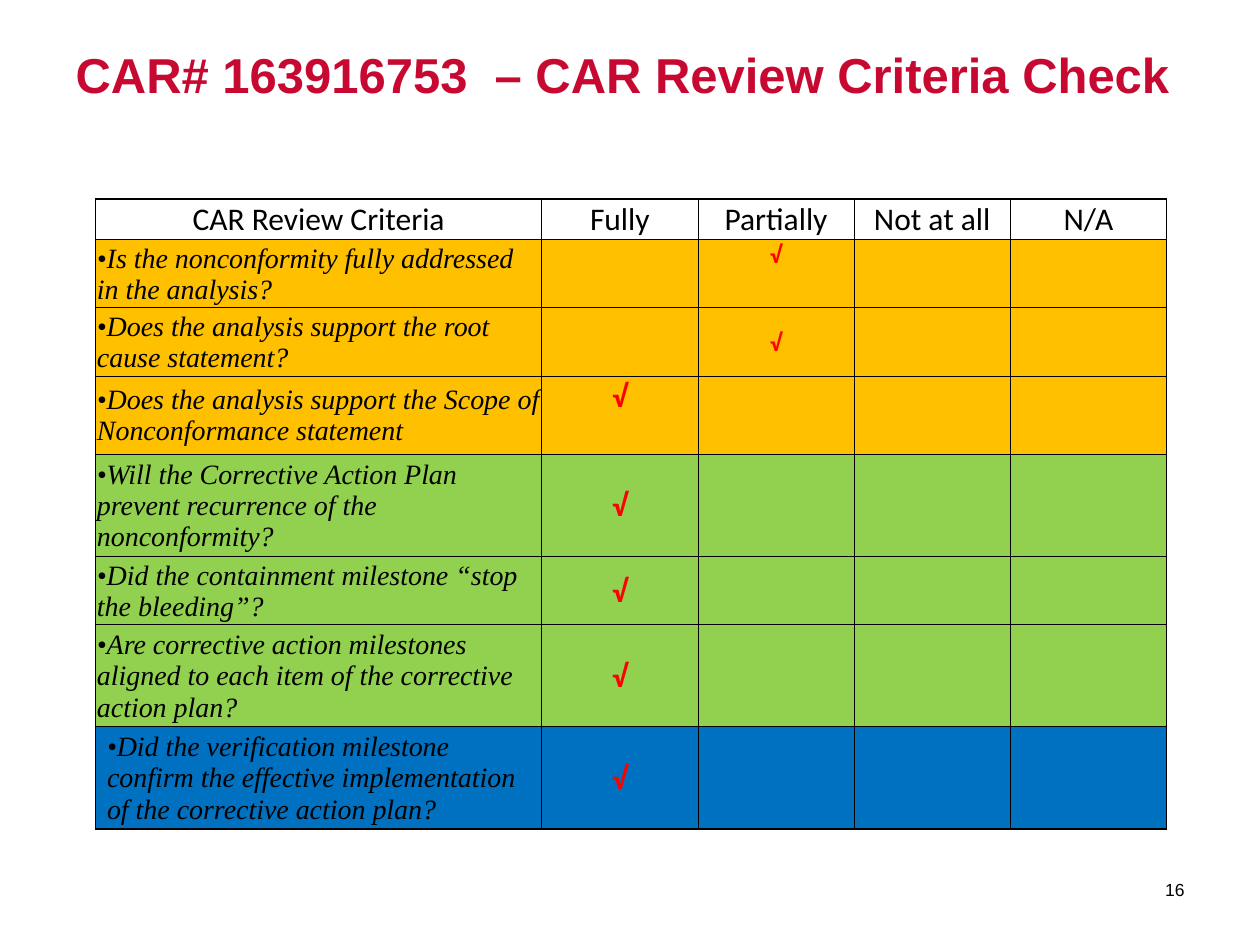
from dataclasses import dataclass

from lxml.etree import SubElement
from pptx import Presentation
from pptx.dml.color import RGBColor
from pptx.enum.text import MSO_ANCHOR, PP_ALIGN
from pptx.oxml.ns import qn
from pptx.util import Inches, Pt


@dataclass(frozen=True)
class Theme:
    crimson: str = "C70932"
    black: str = "000000"
    red: str = "FF0000"
    amber: str = "FFC000"
    green: str = "92D050"
    blue: str = "0070C0"
    title_size: int = 28
    heading_size: int = 18
    criterion_size: int = 16
    small_check_size: int = 14
    number_size: int = 10
    title_font: str = "Arial"
    table_font: str = "Calibri"
    criterion_font: str = "Times New Roman"
    outer_line: float = 1
    inner_line: float = 0.5


THEME = Theme()
FULLY, PARTIALLY = 1, 2
HEADINGS = ["CAR Review Criteria", "Fully", "Partially", "Not at all", "N/A"]
COLUMN_WIDTHS = [3.54] + [1.24] * 4
HEADING_HEIGHT = 0.32


@dataclass(frozen=True)
class Criterion:
    question: str
    fill: str
    height: float
    rating: int = FULLY
    check_size: int = THEME.heading_size
    check_anchor: MSO_ANCHOR = MSO_ANCHOR.MIDDLE
    indent: float = 0.01


CRITERIA = [
    Criterion("Is the nonconformity fully addressed in the analysis?", THEME.amber, 0.5,
              PARTIALLY, THEME.small_check_size, MSO_ANCHOR.TOP),
    Criterion("Does the analysis support the root cause statement?", THEME.amber, 0.51,
              PARTIALLY, THEME.small_check_size),
    Criterion("Does the analysis support the Scope of Nonconformance statement",
              THEME.amber, 0.62, check_anchor=MSO_ANCHOR.TOP),
    Criterion("Will the Corrective Action Plan prevent recurrence of the nonconformity?",
              THEME.green, 0.75),
    Criterion("Did the containment milestone “stop the bleeding”?", THEME.green, 0.5),
    Criterion("Are corrective action milestones aligned to each item of the corrective "
              "action plan?", THEME.green, 0.75),
    Criterion("Did the verification milestone confirm the effective implementation of "
              "the corrective action plan?", THEME.blue, 0.75, indent=0.09),
]


def write(frame, text, size, font=THEME.table_font, color=THEME.black,
          bold=False, italic=False, align=PP_ALIGN.LEFT):
    para = frame.paragraphs[0]
    para.alignment = align
    span = para.add_run()
    span.text = text
    span.font.size = Pt(size)
    span.font.name = font
    span.font.bold = bold
    span.font.italic = italic
    span.font.color.rgb = RGBColor.from_string(color)


def set_borders(cell, widths):
    """Draw the cell edges; widths are points for left, right, top and bottom."""
    properties = cell._tc.get_or_add_tcPr()
    for edge, width in zip(("a:lnL", "a:lnR", "a:lnT", "a:lnB"), widths):
        line = SubElement(properties, qn(edge), w=str(Pt(width)))
        SubElement(SubElement(line, qn("a:solidFill")), qn("a:srgbClr"), val=THEME.black)


def format_cells(table):
    last_row, last_column = len(table.rows) - 1, len(table.columns) - 1
    fills = [None] + [criterion.fill for criterion in CRITERIA]
    for row, fill in enumerate(fills):
        for column in range(last_column + 1):
            cell = table.cell(row, column)
            cell.margin_left = cell.margin_right = cell.margin_top = Inches(0.01)
            cell.margin_bottom = 0
            cell.vertical_anchor = MSO_ANCHOR.MIDDLE
            on_outside = (column == 0, column == last_column, row == 0, row == last_row)
            set_borders(cell, [THEME.outer_line if outside else THEME.inner_line
                               for outside in on_outside])
            if fill:
                cell.fill.solid()
                cell.fill.fore_color.rgb = RGBColor.from_string(fill)
            else:
                cell.fill.background()


def fill_criterion(table, row, criterion):
    question = table.cell(row, 0)
    question.margin_left = Inches(criterion.indent)
    write(question.text_frame, "•" + criterion.question, THEME.criterion_size,
          font=THEME.criterion_font, italic=True)
    check = table.cell(row, criterion.rating)
    check.vertical_anchor = criterion.check_anchor
    write(check.text_frame, "√", criterion.check_size, color=THEME.red,
          bold=True, align=PP_ALIGN.CENTER)


def add_criteria_table(page):
    heights = [HEADING_HEIGHT] + [criterion.height for criterion in CRITERIA]
    table = page.shapes.add_table(
        len(heights), len(HEADINGS), Inches(0.76), Inches(1.58),
        Inches(sum(COLUMN_WIDTHS)), Inches(sum(heights))).table
    table.first_row = table.horz_banding = False
    for column, width in zip(table.columns, COLUMN_WIDTHS):
        column.width = Inches(width)
    for row, height in zip(table.rows, heights):
        row.height = Inches(height)
    format_cells(table)
    for column, heading in enumerate(HEADINGS):
        cell = table.cell(0, column)
        cell.vertical_anchor = MSO_ANCHOR.BOTTOM
        write(cell.text_frame, heading, THEME.heading_size, align=PP_ALIGN.CENTER)
    for row, criterion in enumerate(CRITERIA, start=1):
        fill_criterion(table, row, criterion)


def set_title(page, text):
    title = page.shapes.title
    title.left, title.top = Inches(0.5), Inches(0.3)
    title.width, title.height = Inches(9), Inches(1.25)
    title.text_frame.vertical_anchor = MSO_ANCHOR.TOP
    write(title.text_frame, text, THEME.title_size, font=THEME.title_font,
          color=THEME.crimson, bold=True)


def add_page_number(page, number):
    box = page.shapes.add_textbox(Inches(8.8), Inches(6.86), Inches(0.7), Inches(0.4))
    box.text_frame.word_wrap = True
    box.text_frame.vertical_anchor = MSO_ANCHOR.MIDDLE
    write(box.text_frame, number, THEME.number_size, font=THEME.title_font,
          align=PP_ALIGN.RIGHT)


def main():
    deck = Presentation()
    deck.slide_width, deck.slide_height = Inches(10), Inches(7.5)
    page = deck.slides.add_slide(deck.slide_layouts.get_by_name("Title Only"))
    set_title(page, "CAR# 163916753  – CAR Review Criteria Check")
    add_page_number(page, "16")
    add_criteria_table(page)
    deck.save("out.pptx")


if __name__ == "__main__":
    main()
